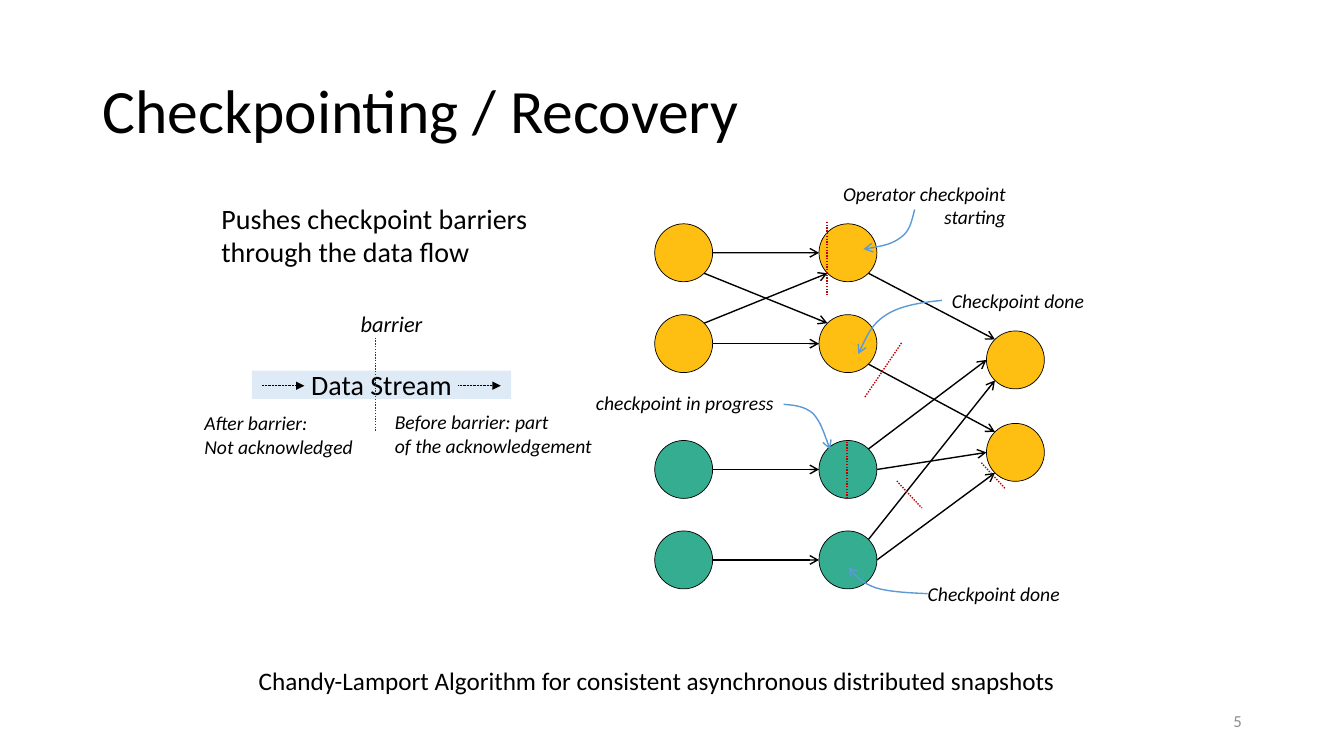
from math import cos, sin, radians
from itertools import product
from lxml import etree
from pptx import Presentation
from pptx.dml.color import RGBColor
from pptx.enum import dml, shapes, text
from pptx.oxml.ns import qn
from pptx.util import Cm, Pt

BLACK, RED, BLUE = "000000", "C00000", "5B9BD5"
YELLOW, GREEN, PALE, GREY = "FEBE12", "34AD91", "DEEBF7", "8C8C8C"
NODE = 1.46
LEFT, CENTER, RIGHT = text.PP_ALIGN.LEFT, text.PP_ALIGN.CENTER, text.PP_ALIGN.RIGHT
SITES = {"r": 0, "br": 45, "bl": 135, "l": 180, "tl": 225, "tr": 315}


def rgb(value):
    return RGBColor.from_string(value)


def write(tf, lines, size, color=BLACK, italic=False, align=LEFT,
          anchor=text.MSO_ANCHOR.TOP, wrap=False, spacing=None):
    tf.text = lines
    for name, value in {"word_wrap": wrap, "vertical_anchor": anchor}.items():
        setattr(tf, name, value)
    for p in tf.paragraphs:
        p.alignment = align
        p.line_spacing = spacing
        for r in p.runs:
            font = {"name": "Calibri", "size": Pt(size), "italic": italic}
            for name, value in font.items():
                setattr(r.font, name, value)
            r.font.color.rgb = rgb(color)


def label(s, x, y, w, h, lines, size, **style):
    sp = s.shapes.add_textbox(Cm(x), Cm(y), Cm(w), Cm(h))
    write(sp.text_frame, lines, size, **style)


def outline(sp, color, width, dotted=False, head=None):
    sp.line.color.rgb = rgb(color)
    sp.line.width = Pt(width)
    if dotted:
        sp.line.dash_style = dml.MSO_LINE.ROUND_DOT
    if head:
        etree.SubElement(sp.line._get_or_add_ln(), qn("a:tailEnd"), type=head)


def line(s, start, end, color=BLACK, width=1, dotted=False, head=None):
    sp = s.shapes.add_connector(shapes.MSO_CONNECTOR.STRAIGHT,
                                *(Cm(v) for v in (*start, *end)))
    outline(sp, color, width, dotted, head)
    etree.SubElement(sp._element.spPr, qn("a:effectLst"))


def block(s, kind, x, y, w, h, fill):
    sp = s.shapes.add_shape(kind, Cm(x), Cm(y), Cm(w), Cm(h))
    sp.shadow.inherit = False
    sp.fill.solid()
    sp.fill.fore_color.rgb = rgb(fill)
    sp.line.fill.background()
    return sp


def curve(s, points):
    start, *rest = [(Cm(x), Cm(y)) for x, y in points]
    builder = s.shapes.build_freeform(*start)
    builder.add_line_segments(rest, close=False)
    sp = builder.convert_to_shape()
    sp.shadow.inherit = False
    sp.fill.background()
    outline(sp, BLUE, 1, head="arrow")
    segments = list(sp._element.iter(qn("a:lnTo")))
    for i in range(0, len(segments), 3):
        bezier = etree.Element(qn("a:cubicBezTo"))
        segments[i].addprevious(bezier)
        for segment in segments[i:i + 3]:
            bezier.append(segment[0])
            segment.getparent().remove(segment)


def heading(s, x, y, w, h):
    sp = s.shapes.title
    box = {"left": x, "top": y, "width": w, "height": h}
    for name, value in box.items():
        setattr(sp, name, Cm(value))
    write(sp.text_frame, "Checkpointing / Recovery", 44, wrap=True,
          anchor=text.MSO_ANCHOR.MIDDLE, spacing=0.9)


def stream(s, x, y):
    label(s, x + 0.43, y, 8.3, 1.96,
          "Pushes checkpoint barriers\vthrough the data flow", 20)
    band = block(s, shapes.MSO_SHAPE.RECTANGLE, x + 1.45, y + 4.39, 6.53, 0.71, PALE)
    write(band.text_frame, "Data Stream", 20, align=CENTER, wrap=True,
          anchor=text.MSO_ANCHOR.MIDDLE)
    line(s, (x + 4.57, y + 3.56), (x + 4.57, y + 5.92), RED, dotted=True)
    for lines, dx, dy, w, h, size in [
            ("barrier", 3.94, 2.74, 2.08, 0.94, 16),
            ("Before barrier: part\vof the acknowledgement", 4.8, 5.26, 5.51, 1.45, 14),
            ("After barrier:\nNot acknowledged", 0, 5.28, 5.13, 1.45, 14)]:
        label(s, x + dx, y + dy, w, h, lines, size, italic=True)
    for dx in (1.7, 6.65):
        line(s, (x + dx, y + 4.77), (x + dx + 1.07, y + 4.77),
             width=0.5, dotted=True, head="triangle")


def dataflow(s, x, y):
    def at(points):
        return [(x + dx, y + dy) for dx, dy in points]

    rows = [0, 2.29, 5.46, 7.74]
    nodes = {f"{col}{i}": (dx, dy) for (col, dx), (i, dy)
             in product([("source", 0), ("operator", 4.14)], enumerate(rows))}
    nodes.update(sink0=(8.36, 2.7), sink1=(8.36, 5.03))

    for name, (dx, dy) in nodes.items():
        fill = GREEN if dy in rows[2:] else YELLOW
        sp = block(s, shapes.MSO_SHAPE.OVAL, x + dx, y + dy, NODE, NODE, fill)
        outline(sp, BLACK, 0.5)

    def site(name, side):
        dx, dy = nodes[name]
        angle = radians(SITES[side])
        return (x + dx + NODE / 2 * (1 + cos(angle)),
                y + dy + NODE / 2 * (1 + sin(angle)))

    edges = [(f"source{i}", "r", f"operator{i}", "l") for i in range(4)] + [
        ("source0", "br", "operator1", "tl"), ("source1", "tr", "operator0", "bl"),
        ("operator0", "br", "sink0", "tl"), ("operator1", "br", "sink1", "tl"),
        ("operator2", "tr", "sink0", "l"), ("operator2", "r", "sink1", "l"),
        ("operator3", "tr", "sink0", "bl"), ("operator3", "r", "sink1", "bl")]
    for begin, out_side, end, in_side in edges:
        line(s, site(begin, out_side), site(end, in_side), head="arrow")

    barriers = [[(4.34, -0.05), (4.34, 1.8)], [(6.22, 3), (5.28, 4.39)],
                [(4.85, 5.49), (4.85, 6.93)], [(6.1, 6.48), (6.73, 7.16)],
                [(8.23, 6.02), (8.84, 6.68)]]
    for barrier in barriers:
        line(s, *at(barrier), RED, dotted=True)

    callouts = [
        ("Operator checkpoint\vstarting", RIGHT, 4.45, -1.19, 4.65, 1.45,
         [(6.55, -0.36), (6.48, -0.08), (6.43, 0.18), (6.22, 0.33),
          (5.99, 0.51), (5.64, 0.58), (5.26, 0.64)]),
        ("Checkpoint done", LEFT, 7.24, 1.52, 3.89, 0.86,
         [(7.24, 1.93), (6.73, 1.98), (6.2, 2.06), (5.84, 2.29),
          (5.49, 2.51), (5.31, 2.9), (5.13, 3.28)]),
        ("Checkpoint done", LEFT, 6.63, 8.89, 3.89, 0.86,
         [(6.88, 9.32), (6.38, 9.3), (5.89, 9.27), (5.56, 9.17),
          (5.23, 9.04), (5.05, 8.86), (4.88, 8.66)]),
        ("checkpoint in progress", LEFT, -1.73, 4.09, 5.05, 0.86,
         [(3.25, 4.55), (3.53, 4.57), (3.78, 4.6), (3.99, 4.78),
          (4.17, 4.98), (4.29, 5.33), (4.42, 5.69)])]
    for lines, align, dx, dy, w, h, points in callouts:
        label(s, x + dx, y + dy, w, h, lines, 14, italic=True, align=align)
        curve(s, at(points))


def footer(s, x, y):
    label(s, x, y, 20.8, 1.02, "Chandy-Lamport Algorithm for consistent "
          "asynchronous distributed snapshots", 18)
    label(s, x + 17.66, y + 1.01, 7.62, 1.02, "5", 12, color=GREY, align=RIGHT,
          anchor=text.MSO_ANCHOR.MIDDLE, wrap=True)


prs = Presentation()
prs.slide_width, prs.slide_height = Cm(33.87), Cm(19.05)
s = prs.slides.add_slide(prs.slide_layouts[5])
heading(s, 2.33, 1.01, 29.21, 3.68)
dataflow(s, 16.5, 5.64)
stream(s, 4.9, 4.95)
footer(s, 6.27, 16.64)
prs.save("out.pptx")
